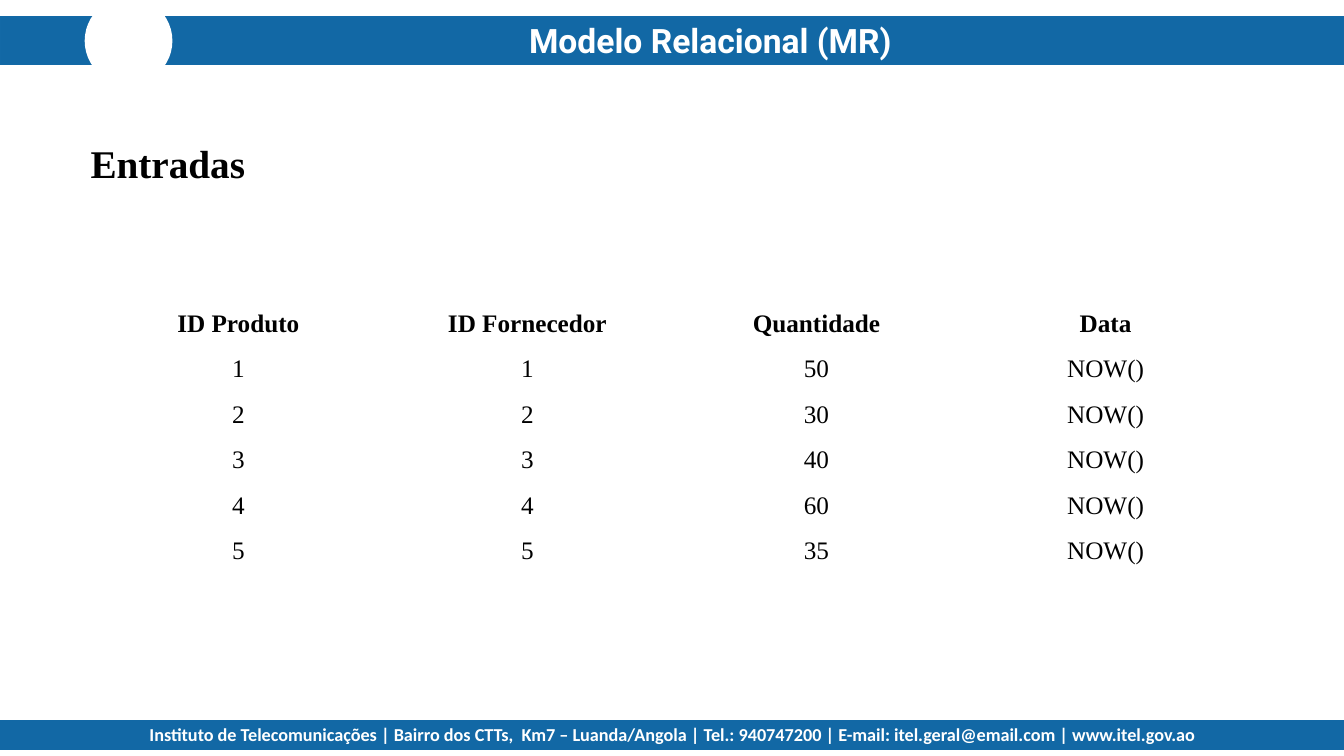
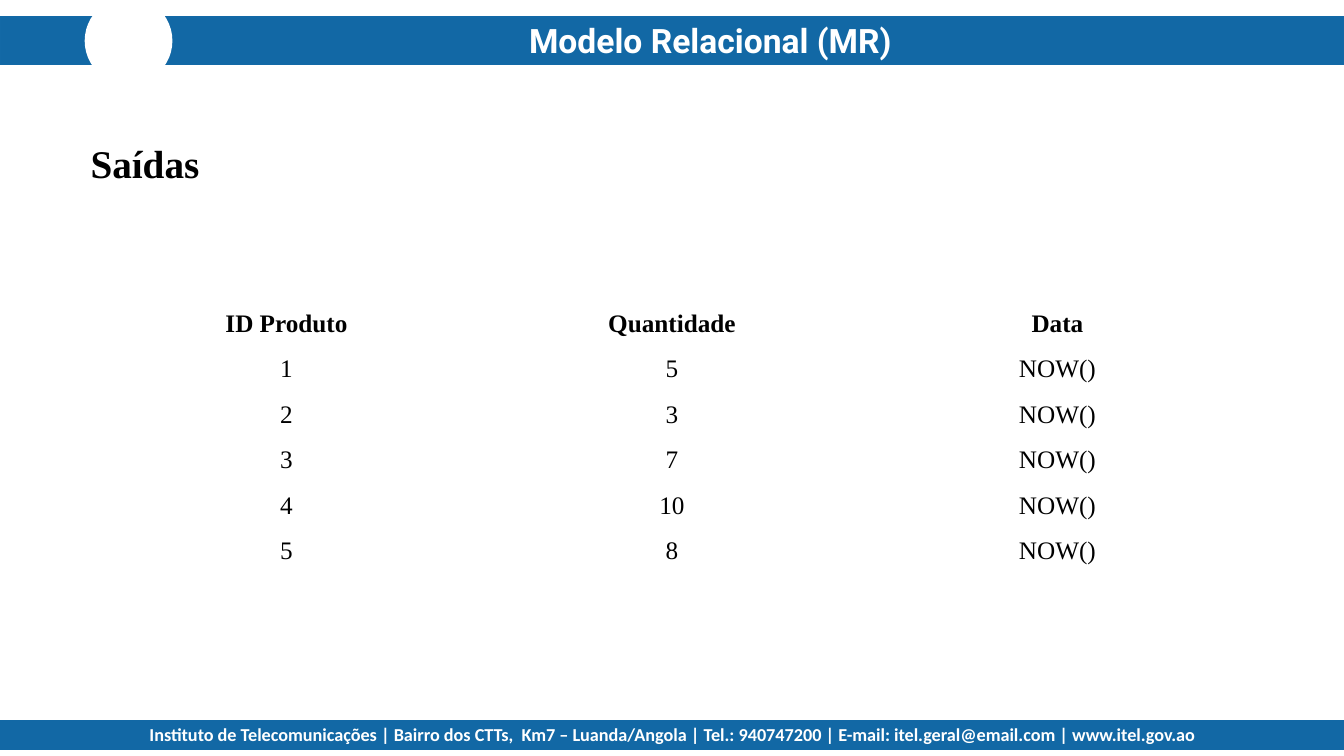
"""Build the two table slides of the relational model lesson."""
from pptx import Presentation
from pptx.dml.color import RGBColor
from pptx.enum import shapes, text
from pptx.util import Inches, Pt

BLUE = RGBColor(0x12, 0x68, 0xA5)
EDGE_BLUE = RGBColor(0x13, 0x69, 0xA6)
WHITE = RGBColor(0xFF, 0xFF, 0xFF)
BLACK = RGBColor(0x00, 0x00, 0x00)
SERIF = "Times New Roman"
WIDTH = 13.33
TITLE = "Modelo Relacional (MR)"
CONTACT = (
    "Instituto de Telecomunicações | Bairro dos CTTs,  Km7 – Luanda/Angola | "
    "Tel.: 940747200 | E-mail: itel.geral@email.com | www.itel.gov.ao"
)
CENTER = text.PP_ALIGN.CENTER
MIDDLE = text.MSO_ANCHOR.MIDDLE


def write(frame, words, size, font=SERIF, color=BLACK, bold=True,
          align=CENTER, spacing=1.0):
    """Put one formatted paragraph into a text frame."""
    para = frame.paragraphs[0]
    para.alignment = align
    para.line_spacing = spacing
    span = para.add_run()
    span.text = words
    span.font.size = Pt(size)
    span.font.name = font
    span.font.bold = bold
    span.font.color.rgb = color


class Lesson:
    """Hold the deck, its shared layout and the current page."""

    def __init__(self):
        """Start a wide deck with a bare title layout."""
        self.deck = Presentation()
        self.deck.slide_width = Inches(WIDTH)
        self.deck.slide_height = Inches(7.5)
        self.layout = self.deck.slide_layouts.get_by_name("Title Only")
        for holder in list(self.layout.placeholders):
            if holder.placeholder_format.type != shapes.PP_PLACEHOLDER.TITLE:
                self.layout.shapes.element.remove(holder.element)
        self.page = None

    def add_page(self, heading, rows):
        """Add a page with the title, a heading and a table."""
        first = self.page is None
        self.page = self.deck.slides.add_slide(self.layout)
        if first:
            self.share_bands()
        self.title(TITLE)
        self.label(heading, 0.8, 1.33, 5.56, 0.57, size=28,
                   align=text.PP_ALIGN.LEFT)
        self.table(rows)

    def share_bands(self):
        """Draw the bands and the footer and move them to the layout."""
        rectangle = shapes.MSO_SHAPE.RECTANGLE
        shared = [
            self.shape(rectangle, 0, 0.17, WIDTH, 0.47, BLUE, EDGE_BLUE),
            self.shape(shapes.MSO_SHAPE.OVAL, 0.84, -0.03, 0.87, 0.87, WHITE),
            self.shape(rectangle, 0, 7.15, WIDTH, 0.28, BLUE, BLUE),
            self.label(CONTACT, 0, 7.13, WIDTH, 0.32, size=13,
                       font="Calibri", color=WHITE),
        ]
        for item in shared:
            self.layout.shapes.element.append(item.element)

    def shape(self, kind, left, top, width, height, fill, line=None):
        """Add a flat preset shape."""
        shape = self.page.shapes.add_shape(
            kind, Inches(left), Inches(top), Inches(width), Inches(height))
        shape.shadow.inherit = False
        shape.fill.solid()
        shape.fill.fore_color.rgb = fill
        if line is None:
            shape.line.fill.background()
        else:
            shape.line.color.rgb = line
            shape.line.width = Pt(1)
        return shape

    def label(self, words, left, top, width, height, **style):
        """Add a wrapped text box."""
        box = self.page.shapes.add_textbox(
            Inches(left), Inches(top), Inches(width), Inches(height))
        box.text_frame.word_wrap = True
        write(box.text_frame, words, **style)
        return box

    def title(self, words):
        """Place the title in the upper band."""
        title = self.page.shapes.title
        title.left, title.top = Inches(3.33), Inches(0.15)
        title.width, title.height = Inches(7.43), Inches(0.5)
        frame = title.text_frame
        frame.auto_size = text.MSO_AUTO_SIZE.NONE
        frame.vertical_anchor = MIDDLE
        write(frame, words, 24, font="Roboto", color=WHITE)

    def table(self, rows, width=11.47, row_height=0.45):
        """Add a plain centred table with equal columns."""
        count = len(rows[0])
        table = self.page.shapes.add_table(
            len(rows), count, Inches(0.93), Inches(2.92),
            Inches(width), Inches(row_height * len(rows))).table
        table.first_row = table.horz_banding = False
        for row, values in enumerate(rows):
            for column, value in enumerate(values):
                cell = table.cell(row, column)
                cell.fill.background()
                cell.vertical_anchor = MIDDLE
                cell.margin_left = cell.margin_right = 0
                cell.margin_top = cell.margin_bottom = 0
                write(cell.text_frame, str(value), 18, bold=row == 0,
                      spacing=1.5)


def main():
    """Build and save the deck."""
    lesson = Lesson()
    entries = [(n, n, amount, "NOW()")
               for n, amount in enumerate((50, 30, 40, 60, 35), 1)]
    exits = [(n, amount, "NOW()")
             for n, amount in enumerate((5, 3, 7, 10, 8), 1)]
    lesson.add_page("Entradas", [
        ("ID Produto", "ID Fornecedor", "Quantidade", "Data"), *entries])
    lesson.add_page("Saídas", [("ID Produto", "Quantidade", "Data"), *exits])
    lesson.deck.save("out.pptx")


if __name__ == "__main__":
    main()
